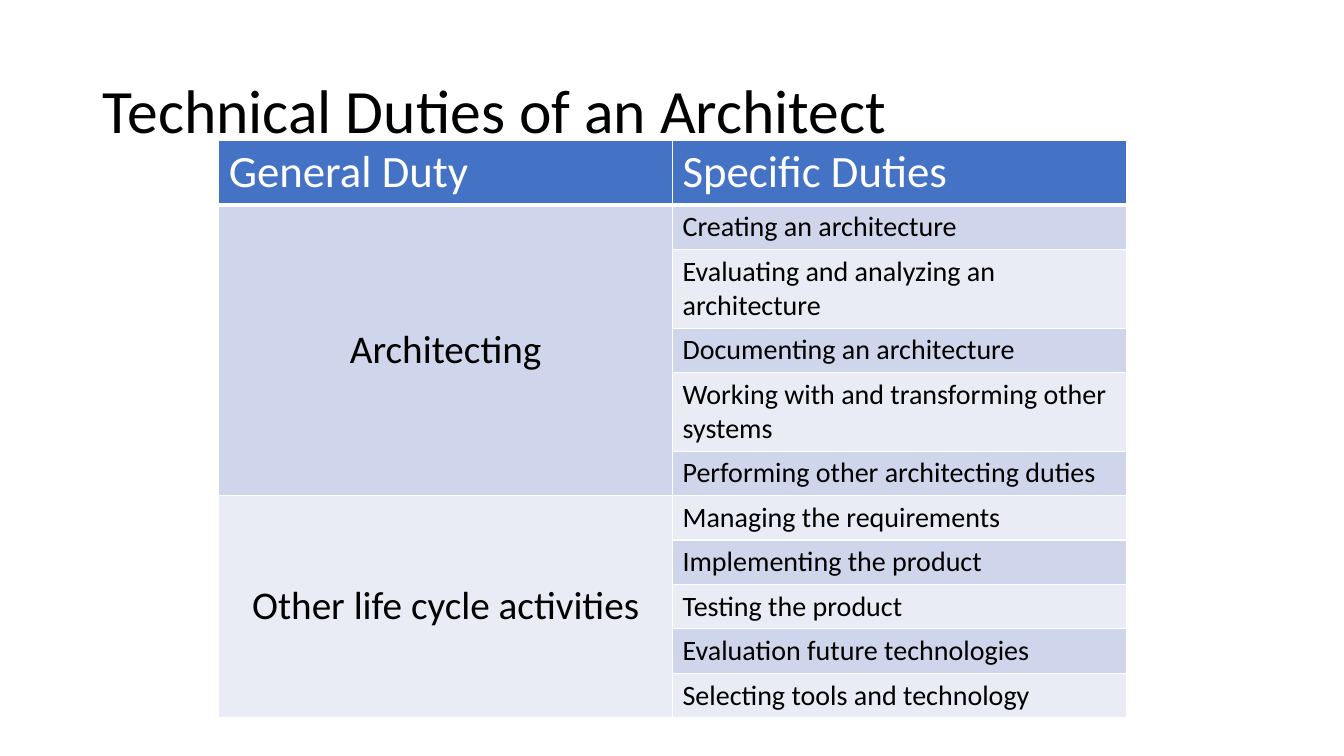
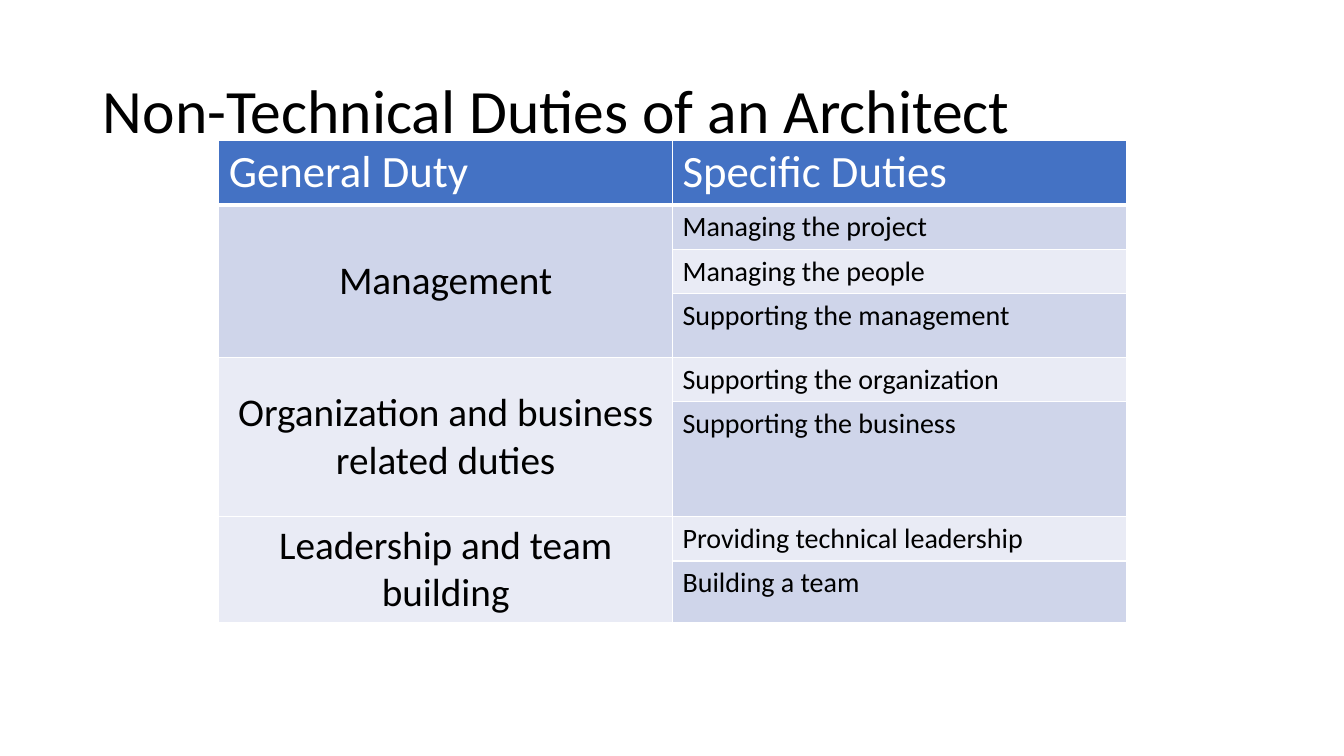
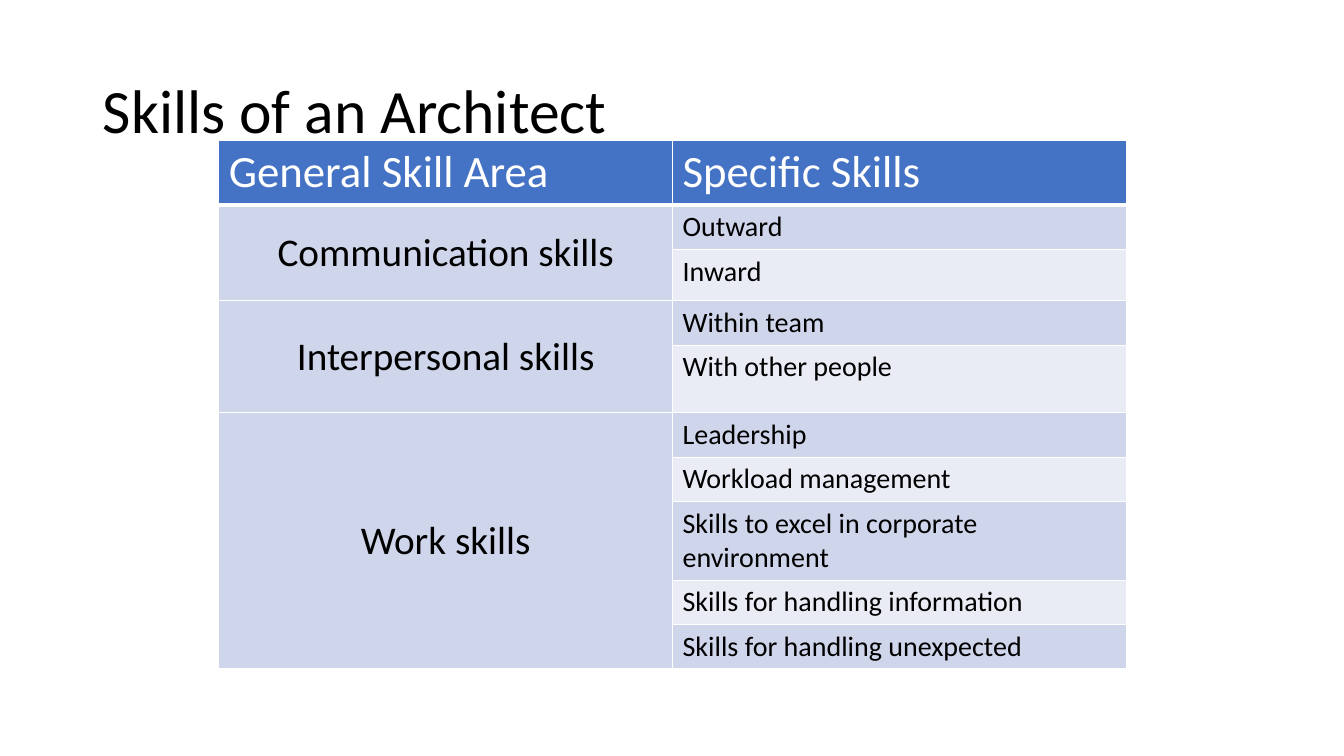
from lxml.etree import SubElement as Sub
from pptx import Presentation as Deck
from pptx.dml.color import RGBColor as Rgb
from pptx.enum.text import MSO_ANCHOR as Anchor, PP_ALIGN as Align
from pptx.oxml.ns import qn
from pptx.util import Pt

SCALE = 9144
WIDE, HIGH = 1333, 750
TITLE_BOX = (92, 40, 1150, 145)
LEFT, TOP, COL, ROW = 217, 139, 450, 41
WHITE, BLACK, BLUE = "FFFFFF", "000000", "4472C4"
BANDS = ("E9EBF5", "CFD5EA")

BASE = {"name": "Calibri", "bold": False}
TITLE = {**BASE, "size": Pt(44), "color": BLACK}
HEAD = {**BASE, "size": Pt(32), "color": WHITE}
AREA = {**BASE, "size": Pt(28), "color": BLACK}
ITEM = {**BASE, "size": Pt(20), "color": BLACK}

SLIDES = [
    (
        "Technical Duties of an Architect",
        ("General Duty", "Specific Duties"),
        {
            "Architecting": [
                "Creating an architecture",
                "Evaluating and analyzing an architecture",
                "Documenting an architecture",
                "Working with and transforming other systems",
                "Performing other architecting duties",
            ],
            "Other life cycle activities": [
                "Managing the requirements",
                "Implementing the product",
                "Testing the product",
                "Evaluation future technologies",
                "Selecting tools and technology",
            ],
        },
        {},
    ),
    (
        "Non-Technical Duties of an Architect",
        ("General Duty", "Specific Duties"),
        {
            "Management": [
                "Managing the project",
                "Managing the people",
                "Supporting the management",
            ],
            "Organization and business related duties": [
                "Supporting the organization",
                "Supporting the business",
            ],
            "Leadership and team building": [
                "Providing technical leadership",
                "Building a team",
            ],
        },
        {3: 63, 5: 114},
    ),
    (
        "Skills of an Architect",
        ("General Skill Area", "Specific Skills"),
        {
            "Communication skills": ["Outward", "Inward"],
            "Interpersonal skills": ["Within team", "With other people"],
            "Work skills": [
                "Leadership",
                "Workload management",
                "Skills to excel in corporate environment",
                "Skills for handling information",
                "Skills for handling unexpected",
            ],
        },
        {2: 51, 4: 67},
    ),
]


def px(num):
    return num * SCALE


def tint(code):
    return Rgb.from_string(code)


def write(frame, text, style, align=Align.LEFT):
    frame.text = text
    para = frame.paragraphs[0]
    para.alignment = align
    font = para.runs[0].font
    for key, value in style.items():
        if key == "color":
            font.color.rgb = tint(value)
        else:
            setattr(font, key, value)
    return para


def add_title(slide, text):
    title = slide.shapes.title
    for key, num in zip(("left", "top", "width", "height"), TITLE_BOX):
        setattr(title, key, px(num))
    frame = title.text_frame
    frame.word_wrap = True
    frame.vertical_anchor = Anchor.MIDDLE
    write(frame, text, TITLE).line_spacing = 0.9


def paint(cell, fill, base=1):
    props = cell._tc.get_or_add_tcPr()
    for side, width in (("L", 1), ("R", 1), ("T", 1), ("B", base)):
        line = Sub(props, qn(f"a:ln{side}"), w=str(Pt(width)))
        solid = Sub(line, qn("a:solidFill"))
        Sub(solid, qn("a:srgbClr"), val=WHITE)
    cell.fill.solid()
    cell.fill.fore_color.rgb = tint(fill)


def add_grid(slide, heads, groups, tall):
    count = 1 + sum(map(len, groups.values()))
    table = slide.shapes.add_table(
        count, 2, px(LEFT), px(TOP), px(2 * COL), px(count * ROW)
    ).table
    table.first_row = table.horz_banding = False
    for num, row in enumerate(table.rows):
        row.height = px(tall.get(num, ROW))
    for col, head in enumerate(heads):
        cell = table.cell(0, col)
        paint(cell, BLUE, 3)
        write(cell.text_frame, head, HEAD)
    start = 1
    for name, items in groups.items():
        for num, item in enumerate(items, start):
            paint(table.cell(num, 0), BANDS[start % 2])
            paint(table.cell(num, 1), BANDS[num % 2])
            write(table.cell(num, 1).text_frame, item, ITEM)
        area = table.cell(start, 0)
        area.merge(table.cell(start + len(items) - 1, 0))
        area.vertical_anchor = Anchor.MIDDLE
        write(area.text_frame, name, AREA, Align.CENTER)
        start += len(items)


def main():
    deck = Deck()
    deck.slide_width, deck.slide_height = px(WIDE), px(HIGH)
    for title, heads, groups, tall in SLIDES:
        slide = deck.slides.add_slide(deck.slide_layouts[5])
        add_title(slide, title)
        add_grid(slide, heads, groups, tall)
    deck.save("out.pptx")


if __name__ == "__main__":
    main()
